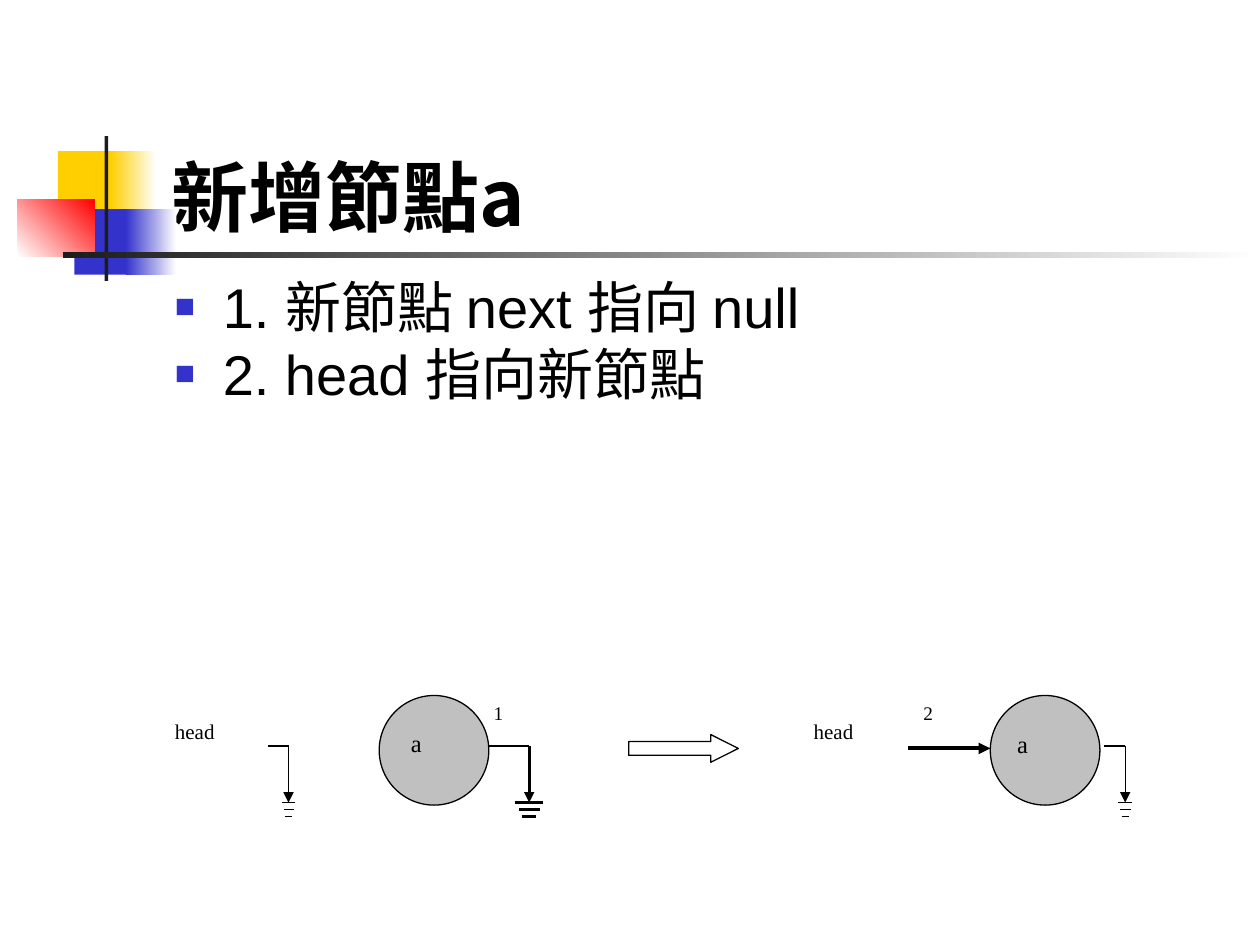
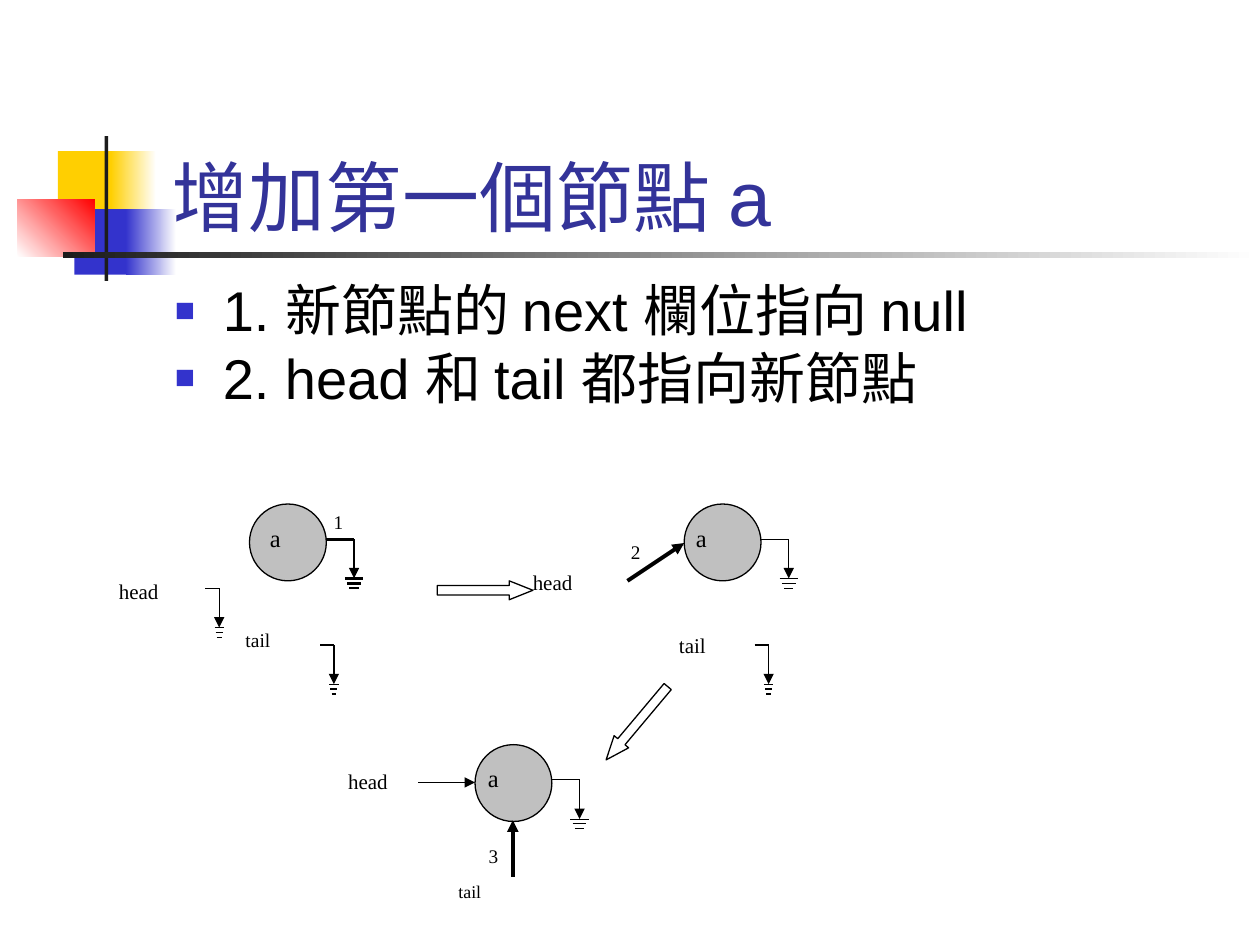
from pptx import Presentation
from pptx import util as u
from pptx.dml.color import RGBColor
from pptx.enum import shapes, text
from pptx.oxml.ns import qn
from lxml import etree

SANS, SERIF, HAN = "Arial", "Times New Roman", "Noto Sans CJK SC"
BLACK, WHITE, GREY, INK = "000000", "FFFFFF", "C0C0C0", "1C1C1C"
GOLD, BLUE, RED, NAVY = "FFCF01", "3333CC", "FF0000", "333399"
KIND = shapes.MSO_SHAPE
LEFT, MID = text.PP_ALIGN.LEFT, text.PP_ALIGN.CENTER
# left, top, width, height, fill (one colour, or two with an angle)
FRAME = [
    (0.46, 1.2, 0.48, 0.52, GOLD),
    (0.88, 1.2, 0.36, 0.52, (GOLD, WHITE, 0)),
    (0.59, 1.66, 0.46, 0.52, BLUE),
    (1, 1.66, 0.4, 0.52, (BLUE, WHITE, 0)),
    (0.14, 1.58, 0.61, 0.46, (WHITE, RED, 45)),
    (0.83, 1.08, 0.03, 1.15, INK),
    (0.5, 2, 9.5, 0.05, (INK, WHITE, 0)),
]


def rgb(code):
    return RGBColor.from_string(code)


def place(*nums):
    return [u.Inches(n) for n in nums]


def paint(fill, tone):
    if isinstance(tone, str):
        fill.solid()
        fill.fore_color.rgb = rgb(tone)
        return
    fill.gradient()
    fill.gradient_angle = tone[2]
    for stop, code in zip(fill.gradient_stops, tone):
        stop.color.rgb = rgb(code)


def shape(slide, kind, box, tone, edge=None):
    item = slide.shapes.add_shape(kind, *place(*box))
    item.shadow.inherit = False
    paint(item.fill, tone)
    if edge:
        item.line.color.rgb = rgb(BLACK)
        item.line.width = u.Pt(edge)
    else:
        item.line.fill.background()
    return item


def write(para, words, size, face, tone=BLACK, bold=False):
    run = para.add_run()
    run.text = words
    font = run.font
    font.size, font.name, font.bold = u.Pt(size), face, bold
    font.color.rgb = rgb(tone)
    if face != SERIF:
        east = etree.Element(qn("a:ea"), typeface=HAN)
        font._element.find(qn("a:latin")).addnext(east)


def label(slide, words, box, size=12, align=LEFT, lead=None):
    frame = slide.shapes.add_textbox(*place(*box)).text_frame
    frame.word_wrap = True
    para = frame.paragraphs[0]
    para.alignment = align
    para.line_spacing = lead
    write(para, words, size, SERIF)


def line(slide, start, end, width, arrow=False):
    item = slide.shapes.add_connector(
        shapes.MSO_CONNECTOR.STRAIGHT, *place(*start, *end))
    item.line.color.rgb = rgb(BLACK)
    item.line.width = u.Pt(width)
    props = item._element.spPr
    if arrow:
        etree.SubElement(props.find(qn("a:ln")), qn("a:tailEnd"),
                         type="triangle")
    etree.SubElement(props, qn("a:effectLst"))


def ground(slide, x, y, run, drop, width=0.75):
    """Draw a null pointer: a bent arrow ending in three shrinking bars."""
    end, base = x + run, y + drop
    line(slide, (x, y), (end, y), width)
    line(slide, (end, y), (end, base), width, arrow=True)
    for step, part in enumerate((1, 0.75, 0.5)):
        half, level = run / 3 * part, base + step * drop / 8
        line(slide, (end - half, level), (end + half, level), width)


def node(slide, x, y, size, box):
    shape(slide, KIND.OVAL, (x, y, size, size), GREY, 0.75)
    label(slide, "a", box, 14, MID)


def block(slide, kind, box, head, turn=0):
    """Draw a hollow arrow that leads to the next state."""
    item = shape(slide, kind, box, WHITE, 0.75)
    item.adjustments[1] = head
    item.rotation = turn


def bullets(slide, top, height, rows):
    frame = slide.shapes.add_textbox(*place(1.29, top, 8.5, height)).text_frame
    frame.word_wrap = True
    frame.margin_top = 0
    for i, words in enumerate(rows):
        para = frame.add_paragraph() if i else frame.paragraphs[0]
        props = para._p.get_or_add_pPr()
        props.set("marL", str(u.Inches(0.38)))
        props.set("indent", str(-u.Inches(0.38)))
        tint = etree.SubElement(props, qn("a:buClr"))
        etree.SubElement(tint, qn("a:srgbClr"), val=BLUE)
        etree.SubElement(props, qn("a:buSzPct"), val="60000")
        etree.SubElement(props, qn("a:buFont"), typeface=SANS)
        etree.SubElement(props, qn("a:buChar"), char="■")
        write(para, words, 32, SANS)


def begin(deck, words, face, tone, bold=False):
    """Add a slide with the shared frame and a title."""
    slide = deck.slides.add_slide(deck.slide_layouts[5])
    for *box, tone_in in FRAME:
        shape(slide, KIND.RECTANGLE, box, tone_in)
    title = slide.shapes.title
    title.left, title.top, title.width, title.height = place(
        1.26, 0.67, 8.52, 1.25)
    frame = title.text_frame
    frame.auto_size = text.MSO_AUTO_SIZE.NONE
    frame.vertical_anchor = text.MSO_ANCHOR.BOTTOM
    frame.margin_bottom = 0
    frame.paragraphs[0].alignment = LEFT
    write(frame.paragraphs[0], words, 44, face, tone, bold)
    return slide


def push(deck):
    slide = begin(deck, "新增節點a", HAN, BLACK, True)
    label(slide, "head", (1.29, 5.65, 1.08, 0.61))
    ground(slide, 2.13, 5.92, 0.16, 0.45)
    node(slide, 3.01, 5.52, 0.87, (3.05, 5.73, 0.51, 0.58))
    ground(slide, 3.87, 5.92, 0.33, 0.45, 1.5)
    label(slide, "1", (3.82, 5.52, 0.43, 0.43), 11)

    block(slide, KIND.RIGHT_ARROW, (4.99, 5.83, 0.87, 0.22), 0.995)

    label(slide, "head", (6.36, 5.65, 1.09, 0.65))
    node(slide, 7.86, 5.52, 0.87, (7.86, 5.74, 0.51, 0.58))
    ground(slide, 8.76, 5.92, 0.17, 0.45)
    line(slide, (7.21, 5.94), (7.86, 5.94), 2.25, arrow=True)
    label(slide, "2", (7.23, 5.52, 0.43, 0.43), 11)
    bullets(slide, 2.16, 1.81, ["1. 新節點 next 指向 null",
                                "2. head 指向新節點"])


def first(deck):
    slide = begin(deck, "增加第一個節點 a", SANS, NAVY)
    bullets(slide, 2.19, 1.47, ["1. 新節點的 next 欄位指向 null",
                                "2. head 和 tail 都指向新節點"])
    # node left and top, shift of its letter, weight of its null pointer
    for x, y, shift, width in [(1.98, 4, 0.03, 1.5), (5.43, 4, -0.04, 0.5),
                               (3.77, 5.91, -0.03, 0.5)]:
        node(slide, x, y, 0.61, (x + shift, y + 0.1, 0.35, 0.4))
        ground(slide, x + 0.61, y + 0.28, 0.22, 0.31, width)
    for x, y in [(1.63, 4.67), (2.54, 5.12), (5.99, 5.12)]:
        ground(slide, x, y, 0.11, 0.31)
    for step, x, y in [("1", 2.55, 4), ("2", 4.91, 4.24), ("3", 3.78, 6.65)]:
        label(slide, step, (x, y, 0.3, 0.3), 11)

    label(slide, "head", (0.59, 4.54, 1.02, 0.35), align=MID)
    label(slide, "tail", (1.85, 4.96, 0.86, 0.29), 11.1, lead=0.9)
    label(slide, "head", (4.13, 4.47, 1.05, 0.33))
    label(slide, "tail", (5.29, 4.97, 0.85, 0.36))
    label(slide, "head", (2.4, 6.05, 1.04, 0.35), align=MID)
    label(slide, "tail", (3.54, 6.96, 0.79, 0.28), 10.2, lead=0.9)

    line(slide, (4.98, 4.61), (5.43, 4.31), 2.25, arrow=True)
    line(slide, (4.07, 6.96), (4.07, 6.51), 2.25, arrow=True)
    line(slide, (3.32, 6.21), (3.77, 6.21), 0.75, arrow=True)
    block(slide, KIND.RIGHT_ARROW, (3.47, 4.61, 0.76, 0.15), 1.253)
    block(slide, KIND.DOWN_ARROW, (4.98, 5.36, 0.15, 0.76), 1.253, 40)


def main():
    deck = Presentation()
    deck.slide_width, deck.slide_height = place(10, 7.5)
    push(deck)
    first(deck)
    deck.save("out.pptx")


if __name__ == "__main__":
    main()
